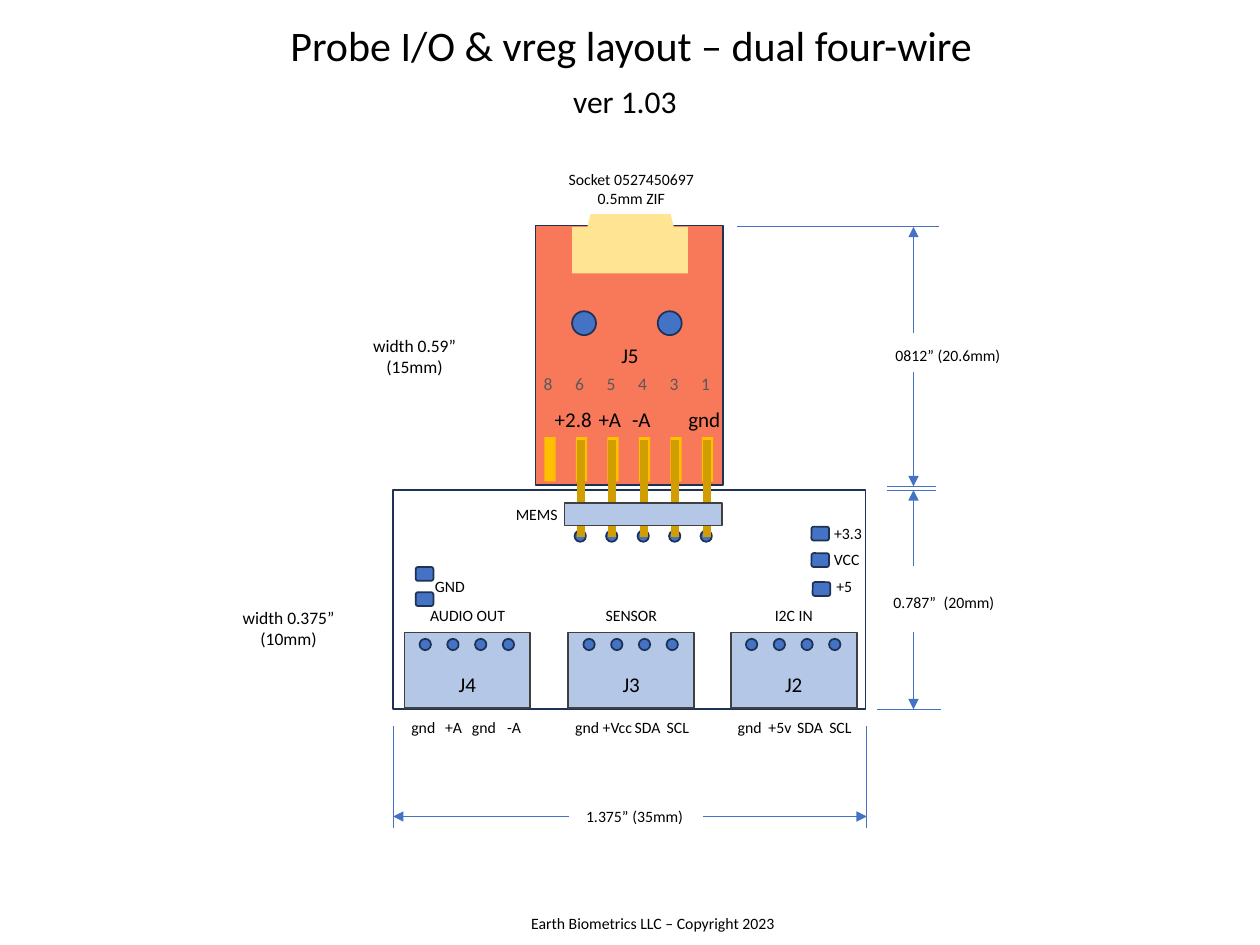
import pptx
import pptx.dml.color
import pptx.enum.shapes
import pptx.enum.text
import pptx.oxml
import pptx.oxml.ns
import pptx.util
from lxml import etree

Inches = pptx.util.Inches
Pt = pptx.util.Pt
SHAPES = pptx.enum.shapes.MSO_SHAPE
FONT = "Calibri"
COLORS = {
    "text": "000000", "pin_number": "595959", "probe": "F8785A",
    "socket": "FFE593", "outline": "1E3256", "connector": "B4C7E7",
    "connector_line": "404040", "hole": "4472C4", "contact": "FFC000",
    "pin": "D09E00", "dimension": "4472C4",
}


def rgb(name):
    return pptx.dml.color.RGBColor.from_string(COLORS[name])


def add_text(slide, text, center, top, size=9, color="text", width=0.8, height=0.25):
    """Add text centred on the x position given."""
    box = slide.shapes.add_textbox(
        Inches(center - width / 2), Inches(top), Inches(width), Inches(height))
    text_frame = box.text_frame
    text_frame.word_wrap = True
    text_frame.margin_left = text_frame.margin_right = 0
    text_frame.text = text
    for paragraph in text_frame.paragraphs:
        paragraph.alignment = pptx.enum.text.PP_ALIGN.CENTER
        for run in paragraph.runs:
            run.font.name = FONT
            run.font.size = Pt(size)
            run.font.color.rgb = rgb(color)
    return box


def add_part(slide, kind, left, top, width, height, fill=None, line=None):
    shape = slide.shapes.add_shape(
        kind, Inches(left), Inches(top), Inches(width), Inches(height))
    shape.shadow.inherit = False
    if fill:
        shape.fill.solid()
        shape.fill.fore_color.rgb = rgb(fill)
    else:
        shape.fill.background()
    if line:
        shape.line.color.rgb = rgb(line)
        shape.line.width = Pt(1)
    else:
        shape.line.fill.background()
    return shape


def add_hole(slide, left, top, size=0.09):
    add_part(slide, SHAPES.OVAL, left, top, size, size, "hole", "outline")


def add_line(slide, start, end, color="dimension", width=0.5, arrow=False):
    line = slide.shapes.add_connector(
        pptx.enum.shapes.MSO_CONNECTOR.STRAIGHT,
        Inches(start[0]), Inches(start[1]), Inches(end[0]), Inches(end[1]))
    line.line.color.rgb = rgb(color)
    line.line.width = Pt(width)
    if arrow:
        tail = etree.SubElement(line.line._get_or_add_ln(), pptx.oxml.ns.qn("a:tailEnd"))
        tail.set("type", "triangle")
    etree.SubElement(line._element.spPr, pptx.oxml.ns.qn("a:effectLst"))


def draw_heading(slide, center, top):
    title = add_text(slide, "Probe I/O & vreg layout – dual four-wire",
                     center, top, 24, width=5.71, height=0.52)
    title.text_frame.vertical_anchor = pptx.enum.text.MSO_ANCHOR.MIDDLE
    title.text_frame.paragraphs[0].line_spacing = 0.9
    add_text(slide, "ver 1.03", center - 0.05, top + 0.48, 18, width=1.03, height=0.4)


def draw_probe(slide, left, top, width, height):
    add_part(slide, SHAPES.RECTANGLE, left, top, width, height, "probe", "outline")
    # Flat cable socket
    add_part(slide, SHAPES.TRAPEZOID, left + 0.36, top - 0.09, 0.79, 0.31, "socket")
    add_part(slide, SHAPES.RECTANGLE, left + 0.29, top + 0.01, 0.92, 0.37, "socket")
    add_text(slide, "Socket 0527450697\n0.5mm ZIF", left + 0.76, top - 0.49,
             width=2.04, height=0.4)
    for offset in (0.29, 0.97):
        add_hole(slide, left + offset, top + 0.68, 0.19)
    # Contacts, their numbers and signals
    add_text(slide, "J5", left + 0.75, top + 0.88, 12)
    signals = ["", "+2.8", "+A", "-A", "", "gnd"]
    for index, (number, signal) in enumerate(zip("865431", signals)):
        x = left + 0.07 + 0.25 * index
        add_part(slide, SHAPES.RECTANGLE, x, top + 1.68, 0.09, 0.35, "contact")
        add_text(slide, number, x + 0.03, top + 1.12, 10, "pin_number", 0.27)
        if signal:
            add_text(slide, signal, x + 0.02 - (signal == "+2.8") * 0.04,
                     top + 1.39, 12, width=0.6, height=0.3)


def draw_mems_header(slide, left, top, width, height):
    """Pin header that joins the probe to the board."""
    for index in range(5):
        x = left + 0.13 + 0.25 * index
        add_hole(slide, x - 0.05, top + 0.22)
        add_line(slide, (x, top - 0.5), (x, top + 0.27), "pin", 4.5)
    add_part(slide, SHAPES.RECTANGLE, left, top, width, height,
             "connector", "connector_line")
    add_text(slide, "MEMS", left - 0.22, top - 0.03)


def draw_terminal(slide, left, top, width, height, name, title, signals):
    add_part(slide, SHAPES.RECTANGLE, left, top, width, height,
             "connector", "connector_line")
    add_text(slide, title, left + width / 2, top - 0.26, width=0.85)
    add_text(slide, name, left + width / 2, top + 0.26, 12, height=0.3)
    for index, signal in enumerate(signals):
        add_hole(slide, left + 0.12 + 0.22 * index, top + 0.05)
        add_text(slide, signal, left + 0.15 + 0.24 * index, top + 0.63, width=0.4)


def draw_board(slide, left, top, width, height):
    add_part(slide, SHAPES.RECTANGLE, left, top, width, height, line="outline")
    # Supply and ground pads
    pads = [(0.18, 0.61), (0.18, 0.81), (3.32, 0.29), (3.32, 0.5), (3.33, 0.73)]
    for x, y in pads:
        add_part(slide, SHAPES.ROUNDED_RECTANGLE, left + x, top + y,
                 0.14, 0.11, "hole", "outline")
    labels = [("GND", 0.45, 0.64), ("+3.3", 3.61, 0.22),
              ("VCC", 3.6, 0.42), ("+5", 3.58, 0.64)]
    for label, x, y in labels:
        add_text(slide, label, left + x, top + y, width=0.5)
    # Terminal blocks along the lower edge
    terminals = [
        (0.09, "J4", "AUDIO OUT", ["gnd", "+A", "gnd", "-A"]),
        (1.39, "J3", "SENSOR", ["gnd", "+Vcc", "SDA", "SCL"]),
        (2.68, "J2", "I2C IN", ["gnd", "+5v", "SDA", "SCL"]),
    ]
    for x, name, title, signals in terminals:
        draw_terminal(slide, left + x, top + 1.13, 1, 0.6, name, title, signals)
    draw_mems_header(slide, left + 1.36, top + 0.1, 1.25, 0.18)


def draw_height(slide, x, top, bottom, gap, extensions, inch_text, metric_text):
    """Vertical dimension; each extension line is a pair of x positions."""
    for y, (start, end) in zip((top, bottom), extensions):
        add_line(slide, (start, y), (end, y))
    add_line(slide, (x, gap[0]), (x, top), arrow=True)
    add_line(slide, (x, gap[1]), (x, bottom), arrow=True)
    middle = (gap[0] + gap[1]) / 2 - 0.1
    add_text(slide, inch_text, x + 0.01, middle)
    add_text(slide, metric_text, x + 0.44, middle)


def draw_width(slide, left, right, y):
    for x in (left, right):
        add_line(slide, (x, y - 0.72), (x, y + 0.09))
    add_line(slide, (left + 1.4, y), (left, y), arrow=True)
    add_line(slide, (right - 1.3, y), (right, y), arrow=True)
    add_text(slide, "1.375”", left + 1.7, y - 0.13)
    add_text(slide, "(35mm)", left + 2.1, y - 0.13)


def draw_callout(slide, text, center, top, start, curves):
    """Two-line note with a wavy leader made of cubic curves."""
    add_text(slide, text, center, top, 10, width=1, height=0.44)
    points = []
    origin = start
    for a, b, end in curves:
        for step in range(1, 13):
            t = step / 12
            points.append(tuple(
                (1 - t) ** 3 * p + 3 * (1 - t) ** 2 * t * q
                + 3 * (1 - t) * t ** 2 * r + t ** 3 * s
                for p, q, r, s in zip(origin, a, b, end)))
        origin = end
    builder = slide.shapes.build_freeform(*start, scale=float(Inches(1)))
    builder.add_line_segments(points, close=False)
    leader = builder.convert_to_shape()
    leader.shadow.inherit = False
    leader.fill.background()
    leader.line.color.rgb = rgb("outline")
    leader.line.width = Pt(0.5)


def main():
    presentation = pptx.Presentation()
    presentation.slide_width = Inches(10)
    presentation.slide_height = Inches(7.5)
    slide = presentation.slides.add_slide(presentation.slide_layouts[6])

    draw_heading(slide, 5.01, 0.12)
    draw_probe(slide, 4.25, 1.79, 1.49, 2.06)
    draw_board(slide, 3.12, 3.89, 3.75, 1.74)

    # Dimensions
    draw_height(slide, 7.25, 1.8, 3.86, (2.64, 2.95),
                [(5.85, 7.45), (7.04, 7.43)], "0812”", "(20.6mm)")
    draw_height(slide, 7.25, 3.89, 5.63, (4.49, 5.02),
                [(7.04, 7.43), (6.96, 7.47)], "0.787”", "(20mm)")
    draw_width(slide, 3.12, 6.88, 6.48)

    # Connector width notes
    draw_callout(slide, "width 0.59”\n(15mm)", 3.29, 2.61, (3.68, 2.87), [
        ((3.81, 2.99), (3.94, 3.1), (3.99, 3.12)),
        ((4.04, 3.13), (3.92, 2.96), (3.97, 2.98)),
        ((4.01, 2.99), (4.21, 3.16), (4.26, 3.2)),
        ((4.32, 3.24), (4.3, 3.22), (4.29, 3.21))])
    draw_callout(slide, "width 0.375”\n(10mm)", 2.29, 4.77, (2.56, 5.09), [
        ((2.74, 5.19), (2.93, 5.3), (2.97, 5.3)),
        ((3.02, 5.31), (2.8, 5.13), (2.85, 5.14)),
        ((2.89, 5.14), (3.17, 5.29), (3.23, 5.32)),
        ((3.3, 5.36), (3.28, 5.34), (3.26, 5.33))])

    # Footer
    add_text(slide, "Earth Biometrics LLC – Copyright 2023", 5.18, 7.2, width=4.9)
    presentation.save("out.pptx")


if __name__ == "__main__":
    main()
